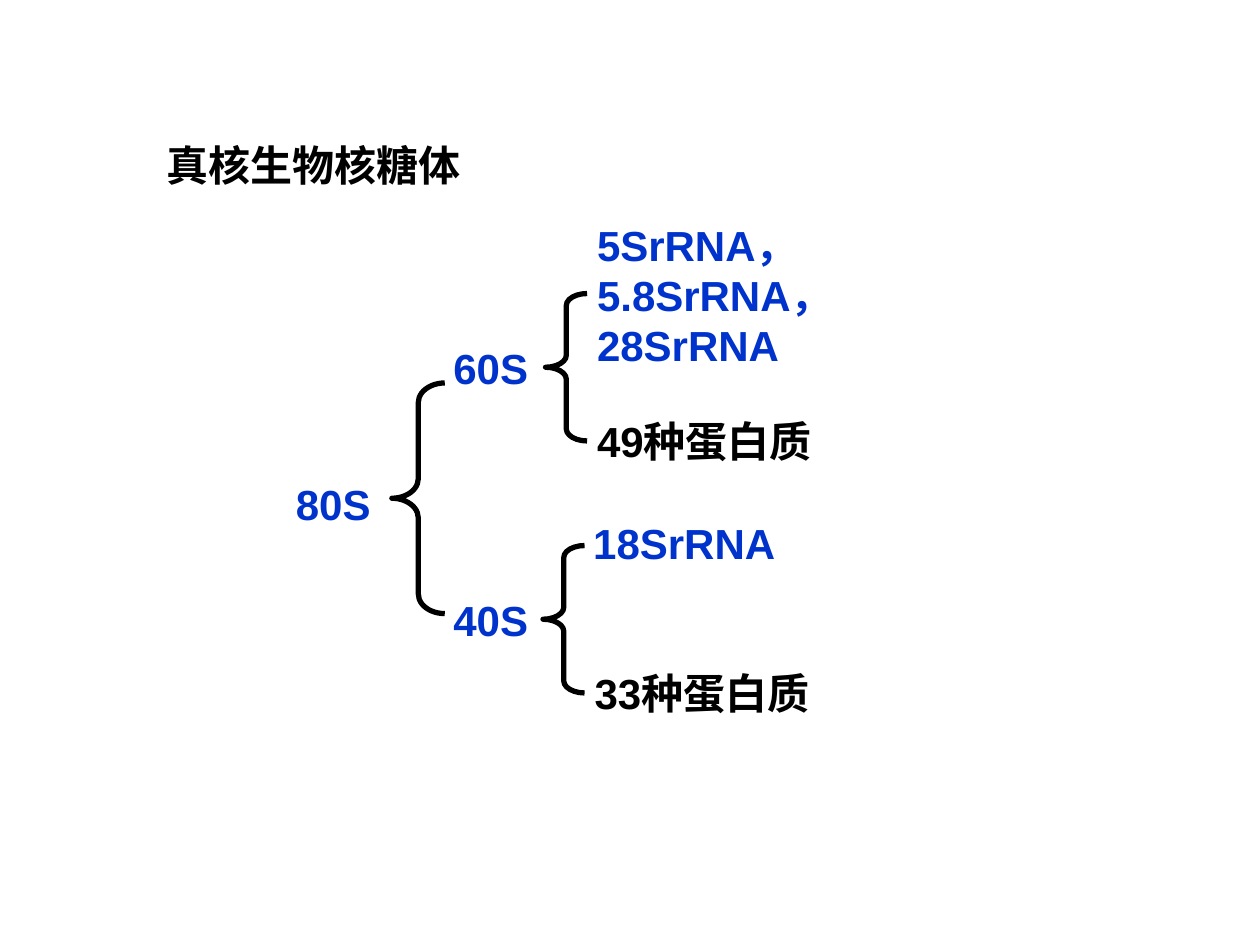
from pptx import Presentation
from pptx.dml.color import RGBColor
from pptx.enum.shapes import MSO_SHAPE
from pptx.enum.text import MSO_AUTO_SIZE
from pptx.util import Inches, Pt

COLORS = {"black": "000000", "blue": "0033CC"}

LABELS = [
    (1.22, 1.06, 2.73, 0.5, "black", ["真核生物核糖体"]),
    (2.25, 3.75, 0.8, 0.5, "blue", ["80S"]),
    (3.5, 2.67, 0.8, 0.5, "blue", ["60S"]),
    (3.5, 4.67, 0.8, 0.5, "blue", ["40S"]),
    (4.64, 1.69, 2.6, 1.3, "blue", ["5SrRNA，", "5.8SrRNA，", "28SrRNA"]),
    (4.64, 3.25, 1.91, 0.5, "black", ["49种蛋白质"]),
    (4.61, 4.06, 2.23, 0.5, "blue", ["18SrRNA"]),
    (4.62, 5.25, 1.91, 0.5, "black", ["33种蛋白质"]),
]

BRACES = [
    (3.11, 3.04, 0.42, 1.83, 0.37),
    (4.33, 2.33, 0.33, 1.17, 0.29),
    (4.31, 4.33, 0.33, 1.17, 0.29),
]


def add_label(page, left, top, width, height, color, lines):
    box = page.shapes.add_textbox(
        Inches(left), Inches(top), Inches(width), Inches(height)
    )
    frame = box.text_frame
    frame.word_wrap = True
    frame.auto_size = MSO_AUTO_SIZE.SHAPE_TO_FIT_TEXT
    frame.text = "\n".join(lines)
    for para in frame.paragraphs:
        para.font.name = "Arial"
        para.font.size = Pt(24)
        para.font.bold = True
        para.font.color.rgb = RGBColor.from_string(COLORS[color])


def add_brace(page, left, top, width, height, curve):
    brace = page.shapes.add_shape(
        MSO_SHAPE.LEFT_BRACE,
        Inches(left), Inches(top), Inches(width), Inches(height),
    )
    brace.adjustments[0] = curve
    brace.shadow.inherit = False
    brace.fill.background()
    brace.line.color.rgb = RGBColor.from_string(COLORS["black"])
    brace.line.width = Pt(3)


def main():
    deck = Presentation()
    deck.slide_width = Inches(10)
    deck.slide_height = Inches(7.5)
    page = deck.slides.add_slide(deck.slide_layouts[6])
    for label in LABELS:
        add_label(page, *label)
    for brace in BRACES:
        add_brace(page, *brace)
    deck.save("out.pptx")


if __name__ == "__main__":
    main()
